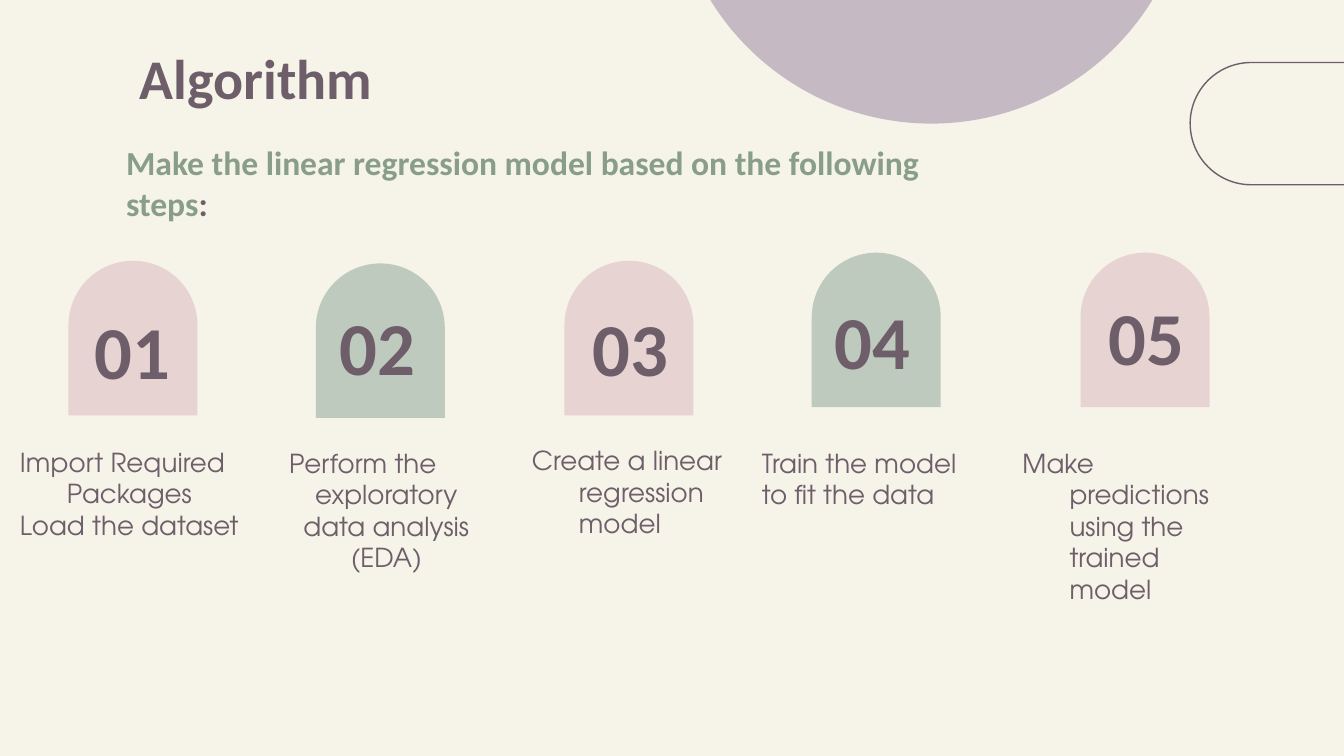
from pptx import Presentation
from pptx.dml.color import RGBColor
from pptx.enum.shapes import MSO_SHAPE
from pptx.enum.text import MSO_ANCHOR, MSO_AUTO_SIZE, PP_ALIGN
from pptx.util import Inches, Pt

HUES = {
    "cream": "F6F3E9",
    "mauve": "C5B9C3",
    "plum": "6D5E6A",
    "sage": "BECABE",
    "rose": "E7D4D2",
    "green": "889E88",
}
HEAD = "Calibri"
BODY = "TeX Gyre Adventor"

TITLE = "Algorithm"
LEAD = ("Make the linear regression model based on the following steps", ":")
STEPS = [
    {"lines": ["Import Required Packages", "Load the dataset"], "align": PP_ALIGN.LEFT,
     "arch": (0.51, 1.94), "num": (0.58, 2.29, 0.81), "text": (-0.1, 3.22, 2.17)},
    {"lines": ["Perform the exploratory data analysis (EDA)"], "align": PP_ALIGN.CENTER,
     "arch": (2.35, 1.96), "num": (1.84, 2.26, 1.94), "text": (1.5, 3.23, 2.25)},
    {"lines": ["Create a linear regression model"], "align": PP_ALIGN.LEFT,
     "arch": (4.2, 1.94), "num": (3.72, 2.27, 1.94), "text": (3.71, 3.21, 1.94)},
    {"lines": ["Train the model", "to fit the data"], "align": PP_ALIGN.LEFT,
     "arch": (6.04, 1.88), "num": (5.52, 2.22, 1.94), "text": (5.42, 3.23, 1.94)},
    {"lines": ["Make predictions using the trained model"], "align": PP_ALIGN.LEFT,
     "arch": (8.04, 1.88), "num": (7.56, 2.19, 1.94), "text": (7.36, 3.23, 1.94)},
]


def color(name):
    return RGBColor.from_string(HUES[name])


def add_form(slide, kind, box, fill=None, line=None):
    form = slide.shapes.add_shape(kind, *map(Inches, box))
    form.shadow.inherit = False
    if fill:
        form.fill.solid()
        form.fill.fore_color.rgb = color(fill)
    else:
        form.fill.background()
    if line:
        form.line.color.rgb = color(line)
        form.line.width = Pt(0.75)
    else:
        form.line.fill.background()
    return form


def set_font(run, face, size, hue, bold):
    run.font.name = face
    run.font.size = Pt(size)
    run.font.bold = bold
    run.font.color.rgb = color(hue)


def set_text(shape, lines, face, size, hue="plum", bold=True,
             align=PP_ALIGN.LEFT, anchor=MSO_ANCHOR.MIDDLE):
    frame = shape.text_frame
    frame.text = "\n".join(lines)
    frame.word_wrap = True
    frame.auto_size = MSO_AUTO_SIZE.NONE
    frame.vertical_anchor = anchor
    frame.margin_left = frame.margin_right = Inches(0.1)
    frame.margin_top = frame.margin_bottom = Inches(0.1)
    for para in frame.paragraphs:
        para.alignment = align
        for run in para.runs:
            set_font(run, face, size, hue, bold)
    return frame


def add_box(slide, box):
    return slide.shapes.add_textbox(*map(Inches, box))


def add_step(slide, index, step):
    fill = "sage" if index % 2 == 0 else "rose"
    arch = add_form(slide, MSO_SHAPE.ROUND_2_SAME_RECTANGLE,
                    (*step["arch"], 0.96, 1.15), fill)
    arch.adjustments[0] = 0.5
    arch.adjustments[1] = 0

    num = add_box(slide, (*step["num"], 0.62))
    set_text(num, [f"{index:02}"], HEAD, 40, align=PP_ALIGN.CENTER)

    text = add_box(slide, (*step["text"], 0.87))
    frame = set_text(text, step["lines"], BODY, 14, bold=False,
                     align=step["align"], anchor=MSO_ANCHOR.TOP)
    for para in frame.paragraphs:
        props = para._p.get_or_add_pPr()
        props.set("marL", str(Inches(0.5)))
        props.set("indent", str(Inches(-0.35)))


def main():
    deck = Presentation()
    deck.slide_width = Inches(10)
    deck.slide_height = deck.slide_width * 9 // 16
    slide = deck.slides.add_slide(deck.slide_layouts[5])
    slide.background.fill.solid()
    slide.background.fill.fore_color.rgb = color("cream")

    add_form(slide, MSO_SHAPE.OVAL, (5, -2.94, 3.86, 3.86), "mauve")
    pill = add_form(slide, MSO_SHAPE.ROUNDED_RECTANGLE,
                    (9.38, -0.06, 0.91, 1.96), line="plum")
    pill.adjustments[0] = 0.5
    pill.rotation = 90

    title = slide.shapes.title
    title.left, title.top, title.width, title.height = map(
        Inches, (0.94, 0.26, 8.44, 0.63))
    set_text(title, [TITLE], HEAD, 30)

    lead = add_box(slide, (0.84, 0.96, 6.16, 0.87))
    frame = set_text(lead, [LEAD[0]], HEAD, 18, "green", anchor=MSO_ANCHOR.TOP)
    colon = frame.paragraphs[0].add_run()
    colon.text = LEAD[1]
    set_font(colon, HEAD, 18, "plum", True)

    for index, step in enumerate(STEPS, 1):
        add_step(slide, index, step)

    deck.save("out.pptx")


if __name__ == "__main__":
    main()
